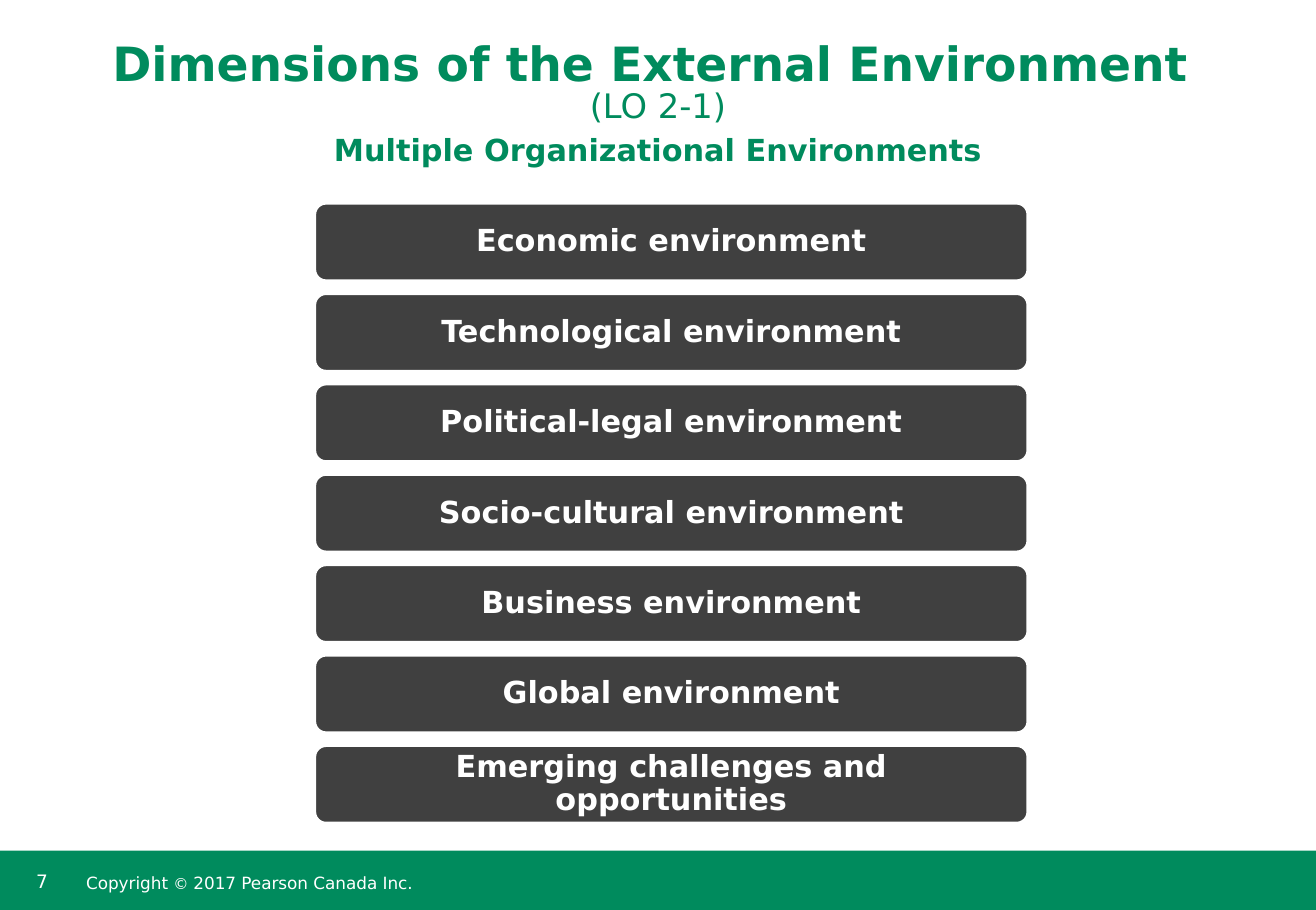
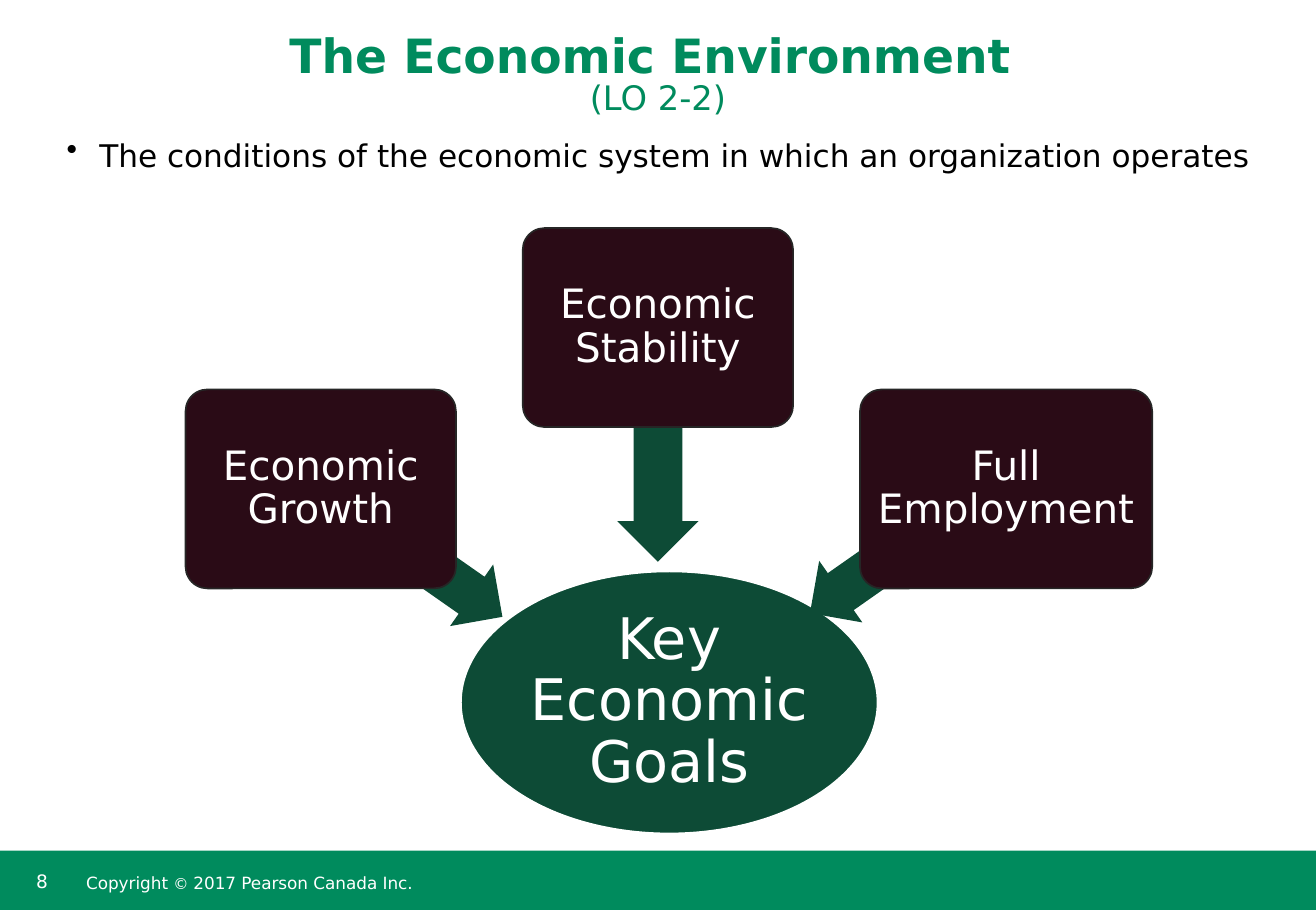
from dataclasses import dataclass

import pptx
import pptx.dml.color
import pptx.enum.shapes
import pptx.enum.text
import pptx.oxml.ns
import pptx.util
from lxml import etree

# Shared look: 200 px to the inch
SCALE = 4572
WIDE, HIGH = 2170, 1500
FONT = "DejaVu Sans"
GREEN, PINE, WINE = "008B5D", "0D4B36", "2A0B16"
GREY, COAL, WHITE, BLACK = "404040", "262626", "FFFFFF", "000000"

KIND = pptx.enum.shapes.MSO_SHAPE
ALIGN = pptx.enum.text.PP_ALIGN
ANCHOR = pptx.enum.text.MSO_ANCHOR


@dataclass(frozen=True)
class Rect:
    left: int
    top: int
    width: int
    height: int


@dataclass(frozen=True)
class Run:
    text: str
    size: float
    hue: str = WHITE
    bold: bool = False


@dataclass(frozen=True)
class Style:
    align: ALIGN = ALIGN.LEFT
    anchor: ANCHOR = ANCHOR.TOP
    lead: float = 1.0
    pads: tuple[int, int, int, int] = (20, 10, 20, 10)


@dataclass(frozen=True)
class Goal:
    text: str
    box: Rect
    arrow: Rect
    turn: int


def px(count: int) -> pptx.util.Emu:
    return pptx.util.Emu(count * SCALE)


def place(rect: Rect) -> list[pptx.util.Emu]:
    return [px(rect.left), px(rect.top), px(rect.width), px(rect.height)]


def rgb(hue: str) -> pptx.dml.color.RGBColor:
    return pptx.dml.color.RGBColor.from_string(hue)


# Text
def write(shape, lines: list[list[Run]], style: Style):
    """Fill a shape with one paragraph, its lines parted by breaks."""
    frame = shape.text_frame
    frame.word_wrap = True
    frame.vertical_anchor = style.anchor
    (frame.margin_left, frame.margin_top,
     frame.margin_right, frame.margin_bottom) = map(px, style.pads)
    para = frame.paragraphs[0]
    para.alignment = style.align
    para.line_spacing = style.lead
    for index, line in enumerate(lines):
        if index:
            para.add_line_break()
        for item in line:
            run = para.add_run()
            run.text = item.text
            run.font.name = FONT
            run.font.size = pptx.util.Pt(item.size)
            run.font.bold = item.bold
            run.font.color.rgb = rgb(item.hue)
    return para


def label(slide, rect: Rect, lines: list[list[Run]], style: Style):
    return write(slide.shapes.add_textbox(*place(rect)), lines, style)


def bullet(para, indent: int, hue: str) -> None:
    props = para._p.get_or_add_pPr()
    props.set("marL", str(px(indent)))
    props.set("indent", str(-px(indent)))
    qn = pptx.oxml.ns.qn
    tint = etree.SubElement(props, qn("a:buClr"))
    etree.SubElement(tint, qn("a:srgbClr"), val=hue)
    etree.SubElement(props, qn("a:buChar"), char="•")


# Shapes
def draw(slide, kind: KIND, rect: Rect, fill: str, edge: str | None = None,
         bends: tuple[float, ...] = ()):
    shape = slide.shapes.add_shape(kind, *place(rect))
    shape.shadow.inherit = False
    shape.fill.solid()
    shape.fill.fore_color.rgb = rgb(fill)
    if edge:
        shape.line.color.rgb = rgb(edge)
        shape.line.width = pptx.util.Pt(1)
    else:
        shape.line.fill.background()
    for index, bend in enumerate(bends):
        shape.adjustments[index] = bend
    return shape


# Title and footer of every slide
def start(deck, page: int, title: str, mark: str, base: int):
    slide = deck.slides.add_slide(deck.slide_layouts[6])
    draw(slide, KIND.RECTANGLE, Rect(0, 1402, WIDE, HIGH - 1402), GREEN)
    label(slide, Rect(40, 1424, 94, 64), [[Run(str(page), 11)]], Style())
    label(slide, Rect(132, 1402, 1156, 100),
          [[Run("Copyright ", 10), Run("© ", 9),
            Run("2017 Pearson Canada Inc.", 10)]],
          Style(anchor=ANCHOR.MIDDLE, lead=0.85, pads=(10, 20, 10, 10)))
    label(slide, Rect(0, 0, WIDE, base),
          [[Run(title + " ", 28, GREEN, True)], [Run(mark, 20, GREEN)]],
          Style(ALIGN.CENTER, ANCHOR.BOTTOM, 0.85))
    return slide


# Slide 7: a stack of bars
BARS = [
    "Economic environment",
    "Technological environment",
    "Political-legal environment",
    "Socio-cultural environment",
    "Business environment",
    "Global environment",
    "Emerging challenges and opportunities",
]
PITCH = 149


def stack(deck) -> None:
    slide = start(deck, 7, "Dimensions of the External Environment",
                  "(LO 2-1)", 216)
    label(slide, Rect(90, 216, 1990, 134),
          [[Run("Multiple Organizational Environments", 18, GREEN, True)]],
          Style(ALIGN.CENTER, lead=0.85))
    style = Style(ALIGN.CENTER, ANCHOR.MIDDLE, 0.9, (46, 0, 46, 0))
    for index, text in enumerate(BARS):
        bar = draw(slide, KIND.ROUNDED_RECTANGLE,
                   Rect(520, 336 + index * PITCH, 1174, 126),
                   GREY, WHITE, (0.14,))
        write(bar, [[Run(text, 18, WHITE, True)]], style)


# Slide 8: three goals that point to an oval
GOALS = [
    Goal("Economic Growth", Rect(306, 642, 446, 328),
         Rect(490, 848, 372, 124), 215),
    Goal("Economic Stability", Rect(862, 376, 446, 328),
         Rect(892, 666, 386, 134), 270),
    Goal("Full Employment", Rect(1418, 642, 482, 328),
         Rect(1302, 842, 372, 124), 325),
]


def goals(deck) -> None:
    slide = start(deck, 8, "The Economic Environment", "(LO 2-2)", 204)
    oval = draw(slide, KIND.OVAL, Rect(760, 942, 687, 432), PINE, WHITE)
    write(oval, [[Run("Key Economic Goals", 34)]],
          Style(ALIGN.CENTER, ANCHOR.MIDDLE, 0.9, (0, 0, 0, 0)))
    style = Style(ALIGN.CENTER, ANCHOR.MIDDLE, 0.9, (10, 10, 10, 10))
    for goal in GOALS:
        arrow = draw(slide, KIND.LEFT_ARROW, goal.arrow, PINE,
                     bends=(0.6, 0.5))
        arrow.rotation = goal.turn
        box = draw(slide, KIND.ROUNDED_RECTANGLE, goal.box, WINE, COAL,
                   (0.11,))
        write(box, [[Run(goal.text, 24)]], style)
    para = label(slide, Rect(90, 234, 1990, 146),
                 [[Run("The conditions of the economic system in which "
                       "an organization operates", 18.5, BLACK)]],
                 Style(lead=0.65, pads=(20, 10, 0, 10)))
    bullet(para, 54, BLACK)


def main() -> None:
    deck = pptx.Presentation()
    deck.slide_width, deck.slide_height = px(WIDE), px(HIGH)
    stack(deck)
    goals(deck)
    deck.save("out.pptx")


if __name__ == "__main__":
    main()
